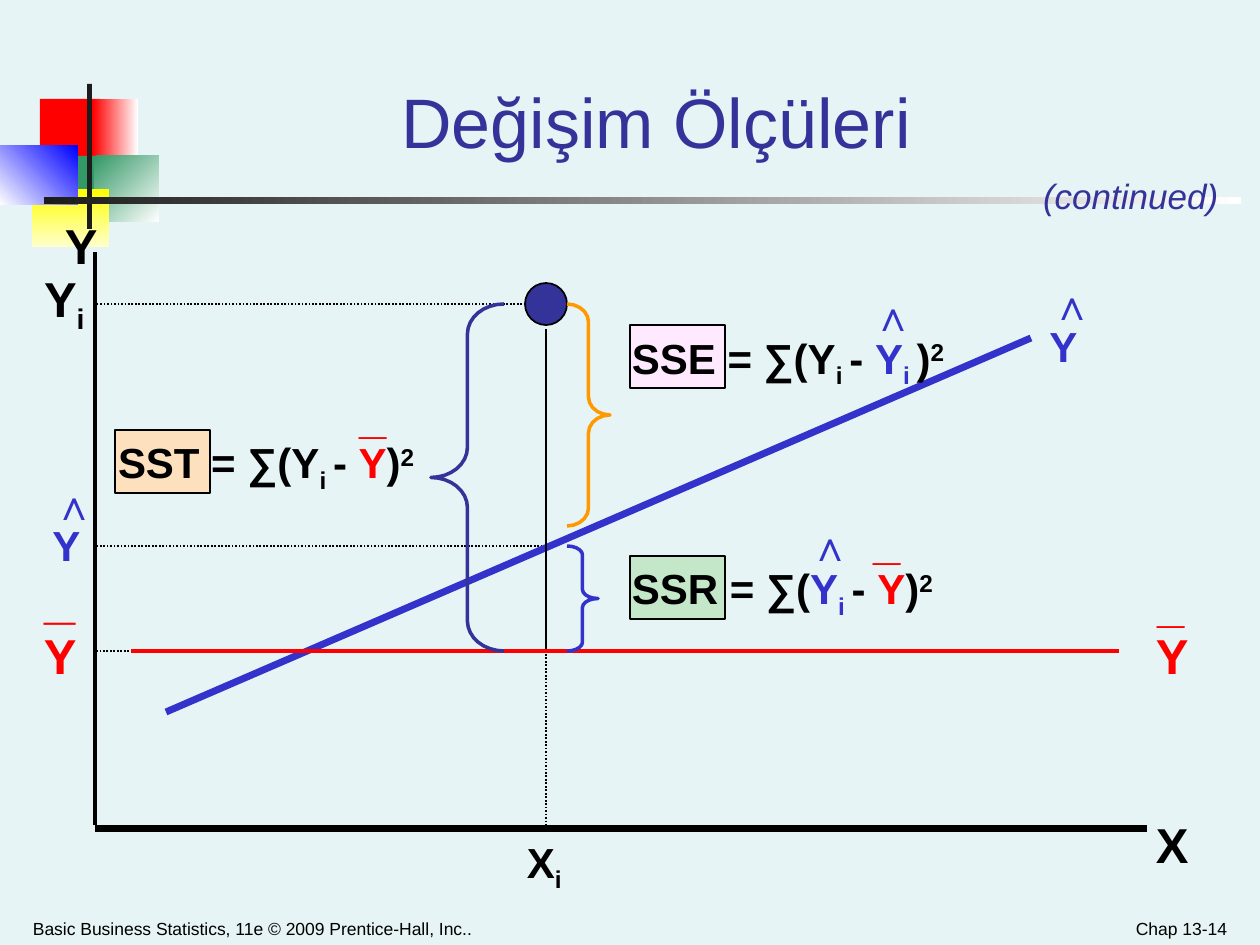
from math import cos, pi, sin
from typing import NamedTuple, Optional

from lxml.etree import SubElement
from pptx import Presentation
from pptx.dml.color import RGBColor
from pptx.enum.dml import MSO_LINE
from pptx.enum.shapes import MSO_CONNECTOR, MSO_SHAPE
from pptx.enum.text import MSO_ANCHOR, MSO_AUTO_SIZE, PP_ALIGN
from pptx.oxml.ns import qn
from pptx.util import Emu, Pt

EMU_PER_PX = 914400 / 126
FONT = "Arial"
COLORS = {
    "background": "E7F4F5", "black": "000000", "ink": "1C1C1C", "white": "FFFFFF",
    "red": "FF0000", "green": "339966", "yellow": "FFFF00", "cream": "FFFFCC",
    "pure_blue": "0000FF", "navy": "333399", "blue": "3333CC", "orange": "FF9900",
    "mint": "C4E6C9", "pink": "FFE9FF", "peach": "FDE0BD",
}


class Block(NamedTuple):
    left: int
    top: int
    width: int
    height: int
    fill: str
    fade: Optional[str] = None
    angle: int = 0  # counter-clockwise
    border: float = 0
    preset: MSO_SHAPE = MSO_SHAPE.RECTANGLE


class Stroke(NamedTuple):
    x1: int
    y1: int
    x2: int
    y2: int
    color: str
    points: float
    dotted: bool = False


class Brace(NamedTuple):
    end_x: int
    tip_x: int
    top: int
    bottom: int
    arc_height: int
    steps: int
    color: str


class Piece(NamedTuple):
    text: str
    color: str = "black"
    baseline: int = 0


class Label(NamedTuple):
    left: int
    top: int
    width: int
    height: int
    pieces: list[Piece]
    size: int = 24
    bold: bool = True
    italic: bool = False
    align: PP_ALIGN = PP_ALIGN.LEFT
    wrap: bool = True
    bottom: bool = False


def px(value: float) -> Emu:
    return Emu(round(value * EMU_PER_PX))


def rgb(name: str) -> RGBColor:
    return RGBColor.from_string(COLORS[name])


def draw_block(shapes, block: Block) -> None:
    shape = shapes.add_shape(block.preset, px(block.left), px(block.top),
                             px(block.width), px(block.height))
    shape.shadow.inherit = False
    if block.fade:
        shape.fill.gradient()
        shape.fill.gradient_angle = block.angle
        for stop, name in zip(shape.fill.gradient_stops, (block.fill, block.fade)):
            stop.color.rgb = rgb(name)
    else:
        shape.fill.solid()
        shape.fill.fore_color.rgb = rgb(block.fill)
    if block.border:
        shape.line.color.rgb = rgb("black")
        shape.line.width = Pt(block.border)
    else:
        shape.line.fill.background()


def draw_stroke(shapes, stroke: Stroke) -> None:
    connector = shapes.add_connector(MSO_CONNECTOR.STRAIGHT, px(stroke.x1), px(stroke.y1),
                                     px(stroke.x2), px(stroke.y2))
    connector.line.color.rgb = rgb(stroke.color)
    connector.line.width = Pt(stroke.points)
    if stroke.dotted:
        connector.line.dash_style = MSO_LINE.ROUND_DOT
    SubElement(connector._element.spPr, qn("a:effectLst"))


def draw_brace(shapes, brace: Brace) -> None:
    reach = (brace.tip_x - brace.end_x) / 2
    middle = (brace.top + brace.bottom) / 2
    angles = [pi / 2 * step / brace.steps for step in range(brace.steps + 1)]
    upper = [(brace.end_x + reach * sin(a), brace.top + brace.arc_height * (1 - cos(a)))
             for a in angles]
    upper += [(brace.tip_x - reach * cos(a), middle - brace.arc_height * (1 - sin(a)))
              for a in angles]
    lower = [(x, brace.top + brace.bottom - y) for x, y in reversed(upper[:-1])]
    outline = [(px(x), px(y)) for x, y in upper + lower]
    builder = shapes.build_freeform(*outline[0])
    builder.add_line_segments(outline[1:], close=False)
    shape = builder.convert_to_shape()
    shape.shadow.inherit = False
    shape.fill.background()
    shape.line.color.rgb = rgb(brace.color)
    shape.line.width = Pt(2)


def write_pieces(paragraph, label: Label) -> None:
    paragraph.alignment = label.align
    for piece in label.pieces:
        run = paragraph.add_run()
        run.text = piece.text
        font = run.font
        font.name, font.size = FONT, Pt(label.size)
        font.bold, font.italic = label.bold, label.italic
        font.color.rgb = rgb(piece.color)
        if piece.baseline:
            run._r.get_or_add_rPr().set("baseline", str(piece.baseline * 1000))


def fill_label(shape, label: Label) -> None:
    shape.left, shape.top = px(label.left), px(label.top)
    shape.width, shape.height = px(label.width), px(label.height)
    frame = shape.text_frame
    frame.word_wrap = label.wrap
    frame.auto_size = MSO_AUTO_SIZE.NONE if label.bottom else MSO_AUTO_SIZE.SHAPE_TO_FIT_TEXT
    frame.vertical_anchor = MSO_ANCHOR.BOTTOM if label.bottom else MSO_ANCHOR.TOP
    frame.margin_left = frame.margin_right = px(12)
    frame.margin_top = frame.margin_bottom = px(6)
    write_pieces(frame.paragraphs[0], label)


def hat(left: int, top: int) -> Label:
    return Label(left, top, 149, 63, [Piece("∧", "blue")])


def bar(left: int, top: int, size: int = 28) -> Label:
    return Label(left, top, 83, 71, [Piece("_", "red")], size)


def fitted_y(left: int, top: int) -> Label:
    return Label(left, top, 53, 63, [Piece("Y", "blue")], align=PP_ALIGN.CENTER, wrap=False)


def big(left: int, top: int, letter: str, color: str = "black") -> Label:
    return Label(left, top, 64, 71, [Piece(letter, color)], 28)


SUB_I = Piece("i ", "black", -25)
SUB_I_BLUE = Piece("i ", "blue", -25)
MINUS, CLOSE, SQUARED = Piece("- "), Piece(")"), Piece("2", "black", 30)
FITTED, MEAN = Piece("Y", "blue"), Piece("Y", "red")

DECORATION = [
    Block(40, 99, 60, 66, "red"),
    Block(93, 99, 45, 66, "red", "white"),
    Block(94, 156, 65, 66, "green", "white", 315),
    Block(54, 156, 40, 66, "green"),
    Block(32, 189, 77, 58, "yellow", "cream", 270),
    Block(0, 146, 78, 59, "white", "pure_blue", 45),
    Block(87, 84, 5, 145, "ink"),
    Block(44, 197, 1197, 7, "ink", "white"),
]
TERM_BOXES = [Block(left, top, 95, 63, fill, border=1.5) for left, top, fill in
              [(630, 556, "mint"), (630, 325, "pink"), (115, 430, "peach")]]
OBSERVATION = Block(525, 283, 42, 42, "navy", border=1, preset=MSO_SHAPE.OVAL)

GUIDES = [
    Stroke(136, 651, 95, 651, "black", 1, True),
    Stroke(536, 304, 95, 304, "black", 1, True),
    Stroke(546, 546, 95, 546, "black", 1, True),
    Stroke(546, 654, 546, 827, "black", 1, True),
]
AXES_AND_FIT = [
    Stroke(95, 252, 95, 825, "black", 2),
    Stroke(95, 829, 1147, 829, "black", 4),
    Stroke(166, 712, 1031, 338, "blue", 4),
]
DEVIATION_AND_MEAN = [
    Stroke(546, 329, 546, 649, "black", 1),
    Stroke(131, 651, 1119, 651, "red", 2),
]
BRACES = [
    Brace(504, 431, 304, 651, 30, 8, "navy"),
    Brace(567, 610, 304, 526, 18, 5, "orange"),
    Brace(567, 598, 546, 651, 9, 5, "blue"),
]
LABELS = [
    # Footer and continuation note
    Label(21, 901, 640, 44, [Piece("Basic Business Statistics, 11e © 2009 Prentice-Hall, Inc..")],
          10, False, bottom=True),
    Label(945, 901, 294, 44, [Piece("Chap 13-14")], 10, False, align=PP_ALIGN.RIGHT, bottom=True),
    Label(1031, 168, 222, 55, [Piece("(continued)", "navy")], 20, False, True),
    # Formulas
    Label(106, 431, 357, 69, [Piece("SST = ∑(Y"), SUB_I, MINUS, MEAN, CLOSE, SQUARED]),
    Label(620, 326, 347, 69,
          [Piece("SSE = ∑(Y"), SUB_I, MINUS, FITTED, SUB_I_BLUE, CLOSE, SQUARED]),
    Label(620, 557, 461, 69,
          [Piece("SSR = ∑("), FITTED, SUB_I_BLUE, MINUS, MEAN, CLOSE, SQUARED]),
    # Axis labels
    Label(515, 830, 115, 69, [Piece("X"), Piece("i", "black", -25)]),
    Label(32, 262, 106, 79, [Piece("Y"), Piece("i", "black", -25)], 28),
    big(53, 210, "Y"), big(1144, 809, "X"),
    big(32, 620, "Y", "red"), big(1144, 620, "Y", "red"),
    fitted_y(1037, 315), fitted_y(40, 514),
    # Hats and bars above letters
    hat(861, 284), hat(798, 514), hat(1040, 273), hat(42, 473),
    bar(1145, 567), bar(861, 504), bar(347, 378), bar(32, 557, 32),
]
TITLE = Label(157, 64, 998, 105, [Piece("Değişim Ölçüleri", "navy")], 40, False,
              align=PP_ALIGN.CENTER, bottom=True)


def main() -> None:
    deck = Presentation()
    deck.slide_width, deck.slide_height = px(1260), px(945)
    slide = deck.slides.add_slide(deck.slide_layouts[5])
    slide.background.fill.solid()
    slide.background.fill.fore_color.rgb = rgb("background")
    shapes = slide.shapes
    fill_label(shapes.title, TITLE)
    for block in DECORATION:
        draw_block(shapes, block)
    for stroke in GUIDES:
        draw_stroke(shapes, stroke)
    for block in TERM_BOXES:
        draw_block(shapes, block)
    for stroke in AXES_AND_FIT:
        draw_stroke(shapes, stroke)
    draw_block(shapes, OBSERVATION)
    for stroke in DEVIATION_AND_MEAN:
        draw_stroke(shapes, stroke)
    for brace in BRACES:
        draw_brace(shapes, brace)
    for label in LABELS:
        fill_label(shapes.add_textbox(0, 0, 0, 0), label)
    deck.save("out.pptx")


if __name__ == "__main__":
    main()
